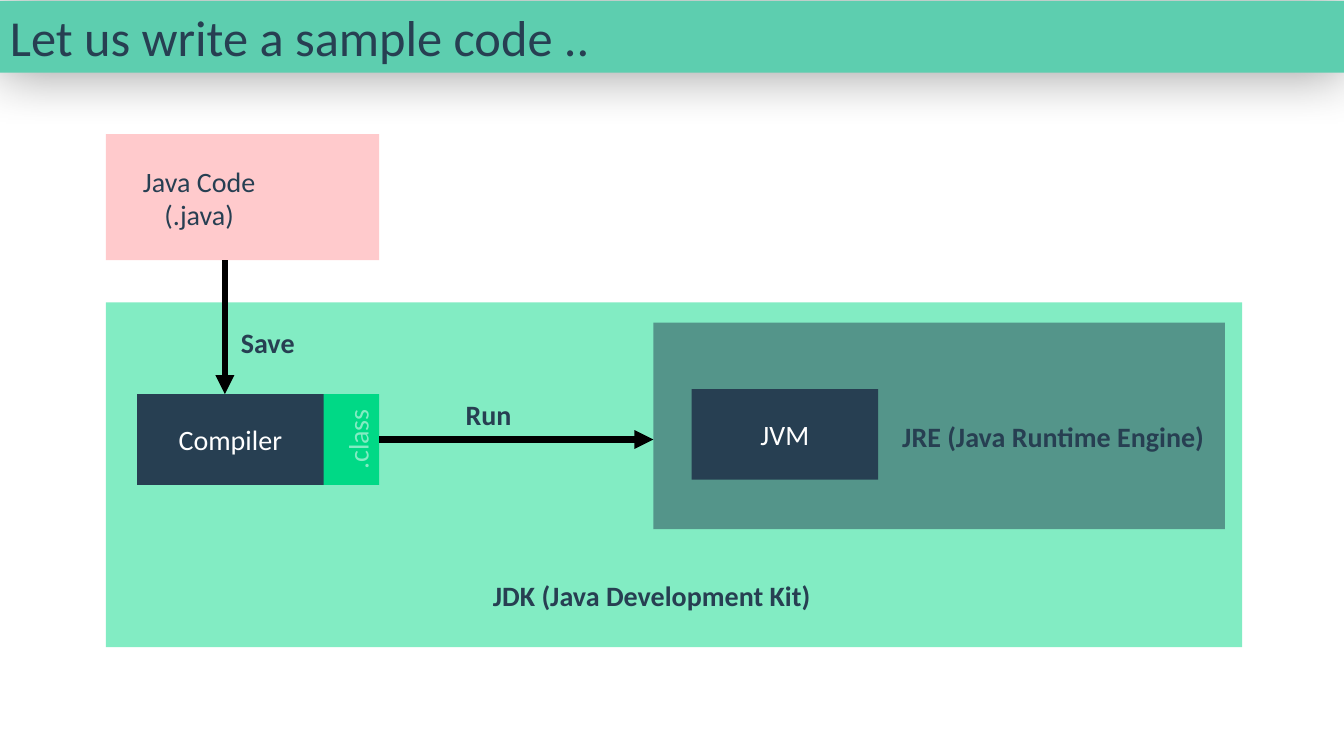
from lxml import etree
from pptx import Presentation
from pptx.dml.color import RGBColor
from pptx.enum import shapes, text
from pptx.oxml.ns import qn
from pptx.util import Inches, Pt

COLORS = {
    "navy": "273F52",
    "teal": "5DCEAF",
    "green": "00D986",
    "pink": "FF7C80",
    "white": "FFFFFF",
    "black": "000000",
}
CENTER = text.PP_ALIGN.CENTER
MIDDLE = text.MSO_ANCHOR.MIDDLE


def rgb(name):
    return RGBColor.from_string(COLORS[name])


class Diagram:
    """Holds the slide and the shared text style."""

    font = "Calibri"
    size = 20

    def __init__(self, slide):
        self.shapes = slide.shapes

    def add_text(self, p, words, color, size=None, bold=None):
        r = p.add_run()
        r.text = words
        r.font.name = self.font
        r.font.size = Pt(size or self.size)
        r.font.bold = bold
        r.font.color.rgb = rgb(color)

    def box(self, x, y, w, h, fill, opacity=100):
        sp = self.shapes.add_shape(
            shapes.MSO_SHAPE.RECTANGLE, Inches(x), Inches(y), Inches(w), Inches(h))
        sp.shadow.inherit = False
        sp.fill.solid()
        sp.fill.fore_color.rgb = rgb(fill)
        sp.line.fill.background()
        if opacity < 100:
            color = sp.element.spPr.find(qn("a:solidFill"))[0]
            etree.SubElement(color, qn("a:alpha"), val=str(opacity * 1000))
        return sp

    def caption(self, sp, words, anchor=MIDDLE):
        tf = sp.text_frame
        tf.vertical_anchor = anchor
        p = tf.paragraphs[0]
        p.alignment = CENTER
        self.add_text(p, words, "white")

    def title(self, x, y, w, h, words):
        sp = self.box(x, y, w, h, "teal")
        effects = sp.element.spPr.find(qn("a:effectLst"))
        shadow = etree.SubElement(effects, qn("a:outerShdw"), blurRad=str(Pt(39)),
                                  dist="0", dir="0", rotWithShape="0")
        color = etree.SubElement(shadow, qn("a:srgbClr"), val=COLORS["black"])
        etree.SubElement(color, qn("a:alpha"), val="40000")
        tf = sp.text_frame
        tf.vertical_anchor = text.MSO_ANCHOR.TOP
        tf.auto_size = text.MSO_AUTO_SIZE.SHAPE_TO_FIT_TEXT
        p = tf.paragraphs[0]
        p.alignment = text.PP_ALIGN.LEFT
        self.add_text(p, words, "navy", size=36)

    def label(self, x, y, w, words, h=0.44, bold=True):
        sp = self.shapes.add_textbox(Inches(x), Inches(y), Inches(w), Inches(h))
        tf = sp.text_frame
        tf.word_wrap = False
        tf.auto_size = text.MSO_AUTO_SIZE.SHAPE_TO_FIT_TEXT
        self.add_text(tf.paragraphs[0], words, "navy", bold=bold)
        return tf

    def arrow(self, x1, y1, x2, y2):
        line = self.shapes.add_connector(
            shapes.MSO_CONNECTOR.STRAIGHT,
            Inches(x1), Inches(y1), Inches(x2), Inches(y2))
        line.line.color.rgb = rgb("black")
        line.line.width = Pt(4.5)
        spPr = line.element.spPr
        etree.SubElement(spPr.find(qn("a:ln")), qn("a:tailEnd"), type="triangle")
        etree.SubElement(spPr, qn("a:effectLst"))
        return line


def main():
    prs = Presentation()
    prs.slide_width, prs.slide_height = Inches(13.33), Inches(7.5)
    d = Diagram(prs.slides.add_slide(prs.slide_layouts[6]))

    # Class file and source code, behind the JDK panel
    class_file = d.box(1.38, 3.91, 2.38, 0.9, "green")
    d.caption(class_file, ".class", text.MSO_ANCHOR.BOTTOM)
    class_file.element.txBody.bodyPr.set("vert", "vert270")
    d.box(1.05, 1.33, 2.71, 1.25, "pink", 40)

    # Title bar
    d.title(0, 0.01, 13.33, 0.71, "Let us write a sample code ..")

    # JDK panel with the compile step
    d.box(1.05, 3, 11.27, 3.42, "green", 49)
    tf = d.label(1.32, 1.58, 1.33, "Java Code", h=0.77, bold=None)
    p = tf.add_paragraph()
    p.alignment = CENTER
    d.add_text(p, "(.java)", "navy")
    d.arrow(2.23, 2.58, 2.23, 3.91)
    d.caption(d.box(1.36, 3.91, 1.85, 0.9, "navy"), "Compiler")
    d.label(4.79, 5.69, 3.38, "JDK (Java Development Kit)")

    # Run step and JRE panel
    run = d.arrow(3.76, 4.36, 6.48, 4.36)
    run.begin_connect(class_file, 3)
    d.box(6.48, 3.2, 5.67, 2.05, "navy", 50)
    d.label(2.29, 3.18, 0.74, "Save")
    d.label(4.52, 3.89, 0.66, "Run")
    d.caption(d.box(6.86, 3.86, 1.85, 0.9, "navy"), "JVM")
    d.label(8.85, 4.11, 3.22, "JRE (Java Runtime Engine)")

    prs.save("out.pptx")


if __name__ == "__main__":
    main()
